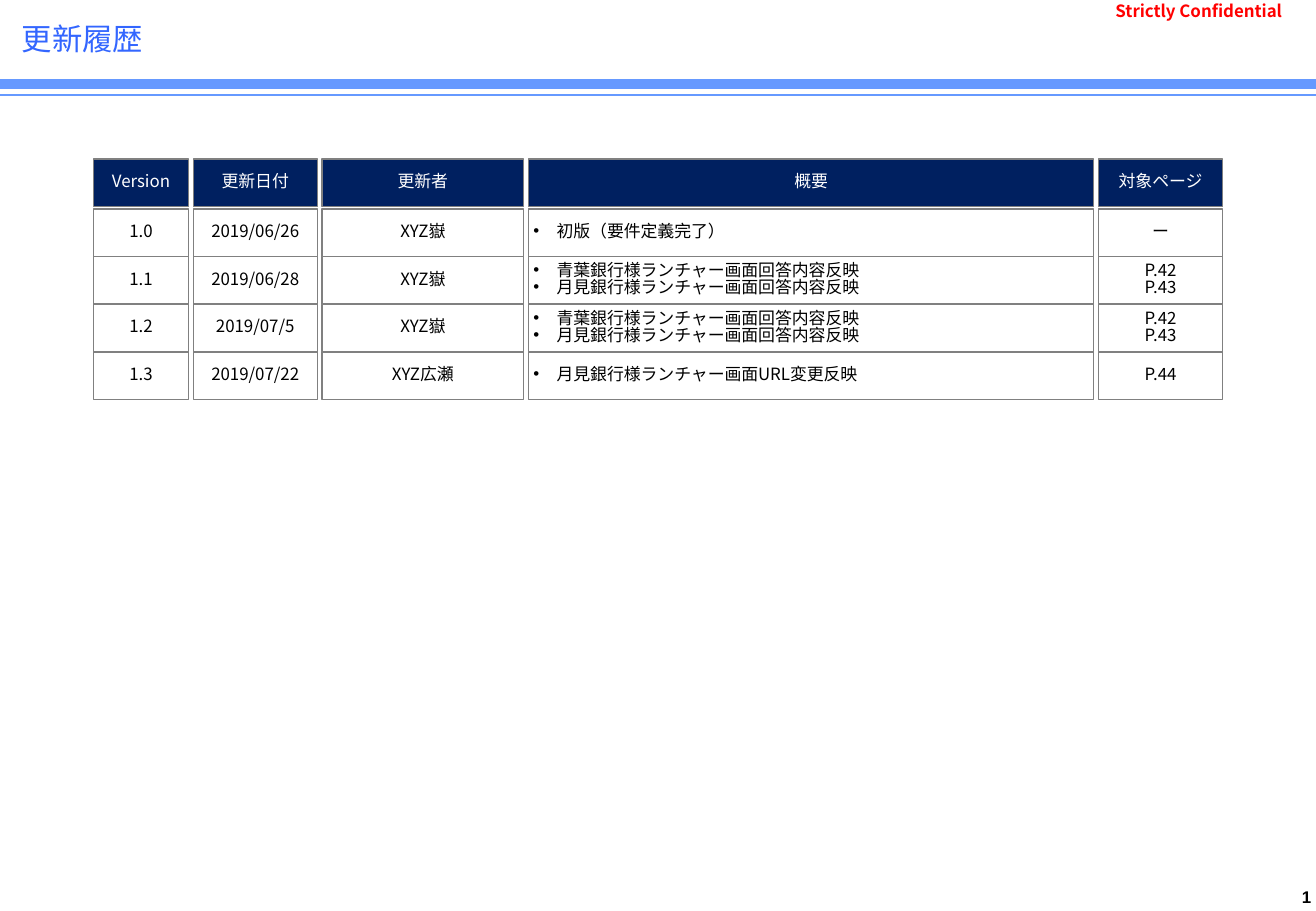
from lxml import etree
from pptx import Presentation
from pptx.dml.color import RGBColor
from pptx.enum.shapes import MSO_CONNECTOR as Connector, MSO_SHAPE as Shape
from pptx.enum.text import MSO_ANCHOR as Anchor, PP_ALIGN as Align
from pptx.oxml.ns import qn
from pptx.util import Inches, Pt

# Content
TITLE = "更新履歴"
NOTICE = "Strictly Confidential"
PAGE_NUMBER = "1"
HEADERS = ["Version", "更新日付", "更新者", "概要", "対象ページ"]
BOTH_BANKS = ["青葉銀行様ランチャー画面回答内容反映", "月見銀行様ランチャー画面回答内容反映"]
REVISIONS = [
    ("1.0", "2019/06/26", "XYZ嶽", ["初版（要件定義完了）"], "ー"),
    ("1.1", "2019/06/28", "XYZ嶽", BOTH_BANKS, ["P.42", "P.43"]),
    ("1.2", "2019/07/5", "XYZ嶽", BOTH_BANKS, ["P.42", "P.43"]),
    ("1.3", "2019/07/22", "XYZ広瀬", ["月見銀行様ランチャー画面URL変更反映"], "P.44"),
]

# Look
BLACK = RGBColor(0x00, 0x00, 0x00)
WHITE = RGBColor(0xFF, 0xFF, 0xFF)
RED = RGBColor(0xFF, 0x00, 0x00)
NAVY = RGBColor(0x00, 0x20, 0x60)
GRAY = RGBColor(0x80, 0x80, 0x80)
TITLE_BLUE = RGBColor(0x33, 0x66, 0xFF)
RULE_BLUE = RGBColor(0x66, 0x99, 0xFF)
SANS = "Noto Sans CJK JP"

# Grid, in inches
SLIDE_WIDTH, SLIDE_HEIGHT = 10.83, 7.5
COLUMN_WIDTHS = [0.78, 1.02, 1.66, 4.65, 1.02]
SUMMARY_COLUMN = HEADERS.index("概要")
GRID_LEFT, COLUMN_GAP = 0.77, 0.04
HEADER_TOP, BODY_TOP, BODY_BOTTOM = 1.31, 1.72, 3.29
ROW_HEIGHT = 0.39
ROW_PITCH = (BODY_BOTTOM - BODY_TOP) / len(REVISIONS)
RULES = [(0.69, 6), (0.78, 1)]
BULLET_INDENT = 0.19


def set_indent(paragraph, indent, bullet=None):
    properties = paragraph._p.get_or_add_pPr()
    properties.set("marL", str(Inches(indent)))
    properties.set("indent", str(-Inches(indent)))
    if bullet:
        etree.SubElement(properties, qn("a:buFont")).set("typeface", "Arial")
        etree.SubElement(properties, qn("a:buChar")).set("char", bullet)


def write(shape, lines, color, align=Align.LEFT, size=10, name=SANS, bold=False,
          insets=(0.04, 0.04), anchor=Anchor.MIDDLE, indent=0, bullet=None, spacing=None):
    frame = shape.text_frame
    side, end = map(Inches, insets)
    frame_format = {"word_wrap": True, "vertical_anchor": anchor, "margin_left": side,
                    "margin_right": side, "margin_top": end, "margin_bottom": end}
    for key, value in frame_format.items():
        setattr(frame, key, value)
    lines = [lines] if isinstance(lines, str) else lines
    for index, line in enumerate(lines):
        paragraph = frame.add_paragraph() if index else frame.paragraphs[0]
        paragraph.alignment = align
        if spacing:
            paragraph.line_spacing = spacing
        if indent:
            set_indent(paragraph, indent, bullet)
        run = paragraph.add_run()
        run.text = line
        for key, value in {"size": Pt(size), "name": name, "bold": bold}.items():
            setattr(run.font, key, value)
        run.font.color.rgb = color
        east_asian = etree.SubElement(run._r.get_or_add_rPr(), qn("a:ea"))
        east_asian.set("typeface", name)


def add_text(slide, box, lines, color, **text_format):
    write(slide.shapes.add_textbox(*map(Inches, box)), lines, color, **text_format)


def add_rule(slide, top, weight):
    rule = slide.shapes.add_connector(
        Connector.STRAIGHT, 0, Inches(top), Inches(SLIDE_WIDTH), Inches(top))
    rule.line.color.rgb = RULE_BLUE
    rule.line.width = Pt(weight)
    etree.SubElement(rule._element.spPr, qn("a:effectLst"))


def add_row(slide, top, cells, fill=None):
    left = GRID_LEFT
    for column, (lines, width) in enumerate(zip(cells, COLUMN_WIDTHS)):
        cell = slide.shapes.add_shape(
            Shape.RECTANGLE, *map(Inches, (left, top, width, ROW_HEIGHT)))
        cell.shadow.inherit = False
        cell.line.color.rgb = GRAY
        cell.line.width = Pt(0.75)
        if fill:
            cell.fill.solid()
            cell.fill.fore_color.rgb = fill
        else:
            cell.fill.background()
        text_format = {"align": Align.CENTER}
        if column == SUMMARY_COLUMN and not fill:
            text_format = {"indent": BULLET_INDENT, "bullet": "•"}
        write(cell, lines, WHITE if fill else BLACK, spacing=0.82, **text_format)
        left += width + COLUMN_GAP


def main():
    presentation = Presentation()
    presentation.slide_width = Inches(SLIDE_WIDTH)
    presentation.slide_height = Inches(SLIDE_HEIGHT)
    slide = presentation.slides.add_slide(presentation.slide_layouts[6])

    # Page frame
    for top, weight in RULES:
        add_rule(slide, top, weight)
    add_text(slide, (10.51, 7.26, 0.32, 0.25), PAGE_NUMBER, BLACK,
             name="Arial", bold=True, align=Align.RIGHT, anchor=Anchor.TOP)
    add_text(slide, (9.1, 0.04, 1.76, 0.1), NOTICE, RED, bold=True,
             align=Align.JUSTIFY, insets=(0.08, 0.04), indent=0.1)
    add_text(slide, (0.08, 0.06, 10.38, 0.51), TITLE, TITLE_BLUE,
             size=18, insets=(0.1, 0.05))

    # Revision history
    add_row(slide, HEADER_TOP, HEADERS, NAVY)
    for index, revision in enumerate(REVISIONS):
        add_row(slide, BODY_TOP + index * ROW_PITCH, revision)

    presentation.save("out.pptx")


if __name__ == "__main__":
    main()
